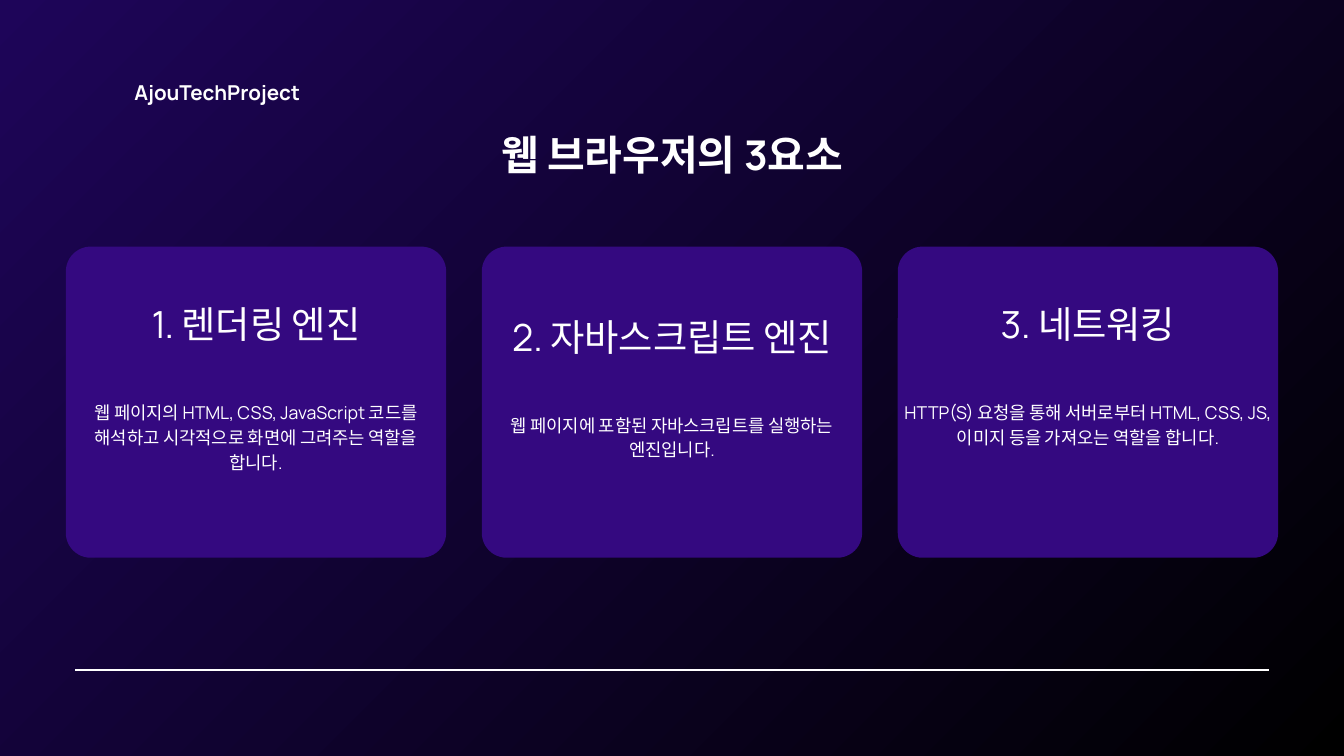
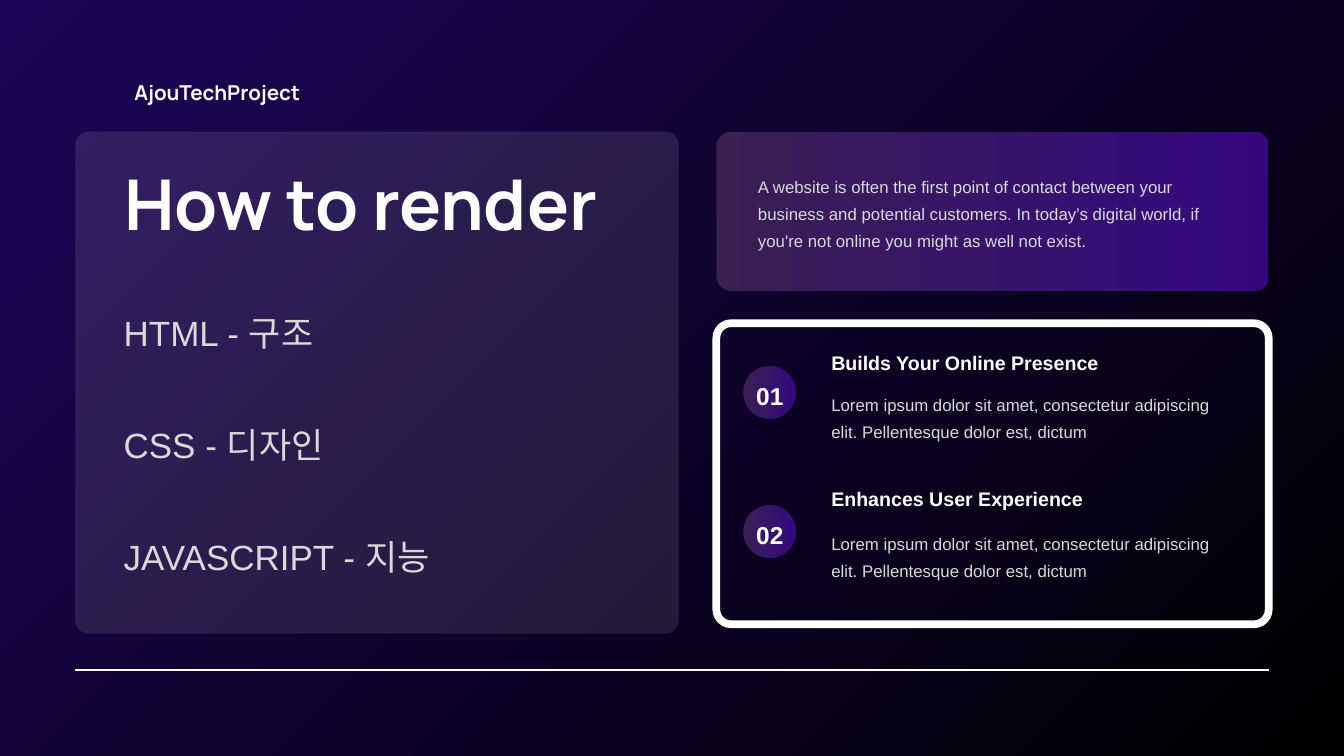
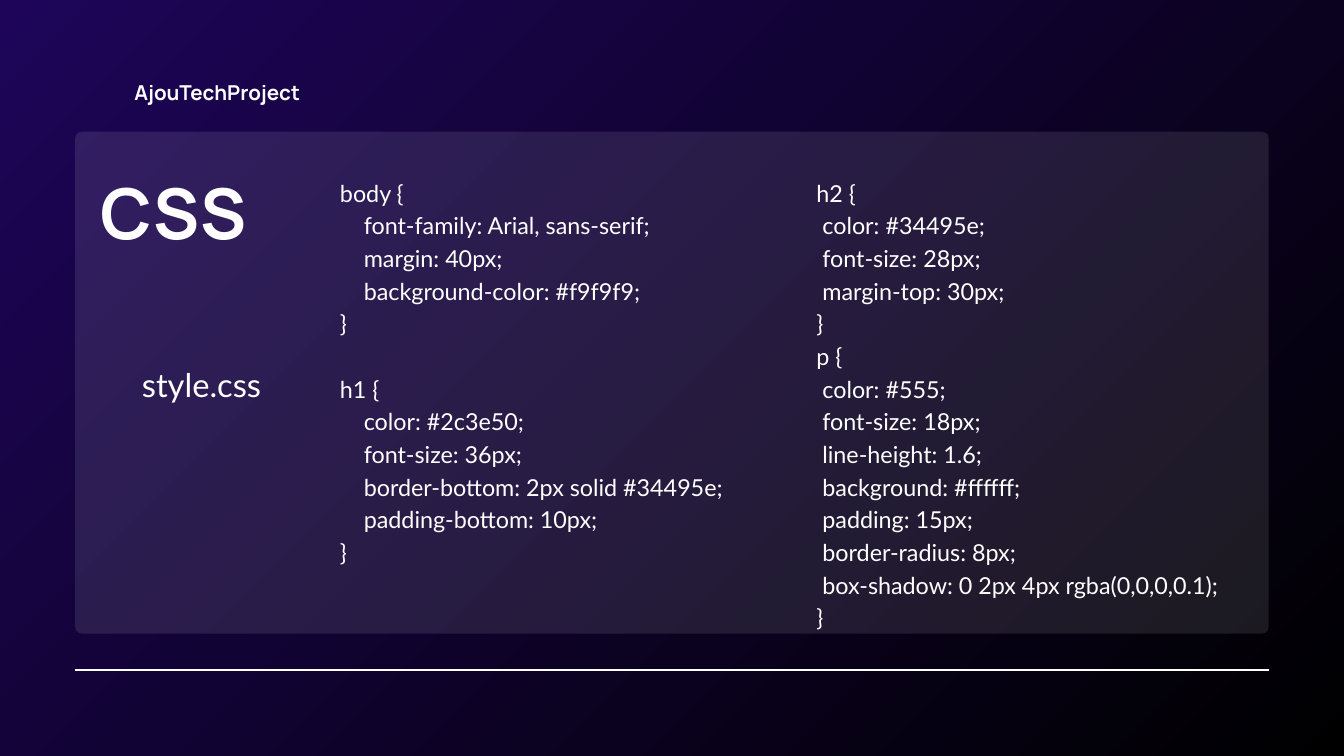
from dataclasses import dataclass

import pptx
import pptx.dml.color
import pptx.enum.dml
import pptx.enum.shapes
import pptx.enum.text
import pptx.oxml
import pptx.oxml.ns
import pptx.util

Inches = pptx.util.Inches
Pt = pptx.util.Pt
Shapes = pptx.enum.shapes.MSO_SHAPE
Align = pptx.enum.text.PP_ALIGN
Anchor = pptx.enum.text.MSO_ANCHOR
qn = pptx.oxml.ns.qn


@dataclass(frozen=True)
class TextStyle:
    font: str
    size: float
    spacing: float  # exact line height in points
    color: str = "FFFFFF"
    bold: bool = False


@dataclass(frozen=True)
class Theme:
    white: str = "FFFFFF"
    card: str = "340980"
    backdrop: tuple = ("1E0559", "000000")
    accent: tuple = ("391F53", "340980")
    brand: TextStyle = TextStyle("Manrope", 22, 23.3, bold=True)
    heading: TextStyle = TextStyle("Manrope", 43.9, 46.5, bold=True)
    display: TextStyle = TextStyle("Manrope", 75, 79.5, bold=True)
    card_title: TextStyle = TextStyle("Manrope", 40, 56)
    card_body: TextStyle = TextStyle("Manrope", 19, 26.6)
    body: TextStyle = TextStyle("Arial", 18, 28.8, "D9D9D9")
    topic: TextStyle = TextStyle("Arial", 21, 33.6, bold=True)
    number: TextStyle = TextStyle("Arial", 26.2, 41.9, bold=True)
    language: TextStyle = TextStyle("Arial", 37.5, 60, "D9D9D9")
    code: TextStyle = TextStyle("Lato", 25, 35)
    file_name: TextStyle = TextStyle("Lato", 35, 49)


class Deck:
    """Holds the theme and the slide being built."""

    def __init__(self, theme):
        self.theme = theme
        self.presentation = pptx.Presentation()
        self.presentation.slide_width = Inches(20)
        self.presentation.slide_height = Inches(11.25)
        self.slide = None

    def new_slide(self):
        layout = self.presentation.slide_layouts[6]
        self.slide = self.presentation.slides.add_slide(layout)
        self.gradient(self.slide.background.fill, self.theme.backdrop, 315)
        self.text(2, 1.24, 3.67, 0.36, [("AjouTechProject", self.theme.brand, 0)])
        self.rule(1.12, 18.88, 9.97)

    @staticmethod
    def rgb(color):
        return pptx.dml.color.RGBColor.from_string(color)

    def gradient(self, fill, colors, angle=0):
        fill.gradient()
        fill.gradient_angle = angle
        for stop, color in zip(fill.gradient_stops, colors):
            stop.color.rgb = self.rgb(color)

    def rule(self, left, right, top):
        connector = self.slide.shapes.add_connector(
            pptx.enum.shapes.MSO_CONNECTOR.STRAIGHT,
            Inches(left), Inches(top), Inches(right), Inches(top))
        connector.line.color.rgb = self.rgb(self.theme.white)
        connector.line.width = Pt(3)
        properties = connector.element.spPr
        properties.append(properties.makeelement(qn("a:effectLst"), {}))

    def shape(self, kind, left, top, width, height, fill=None, opacity=100, outline=0):
        """fill is one colour, a pair of gradient colours, or None."""
        shape = self.slide.shapes.add_shape(
            kind, Inches(left), Inches(top), Inches(width), Inches(height))
        shape.shadow.inherit = False
        if fill is None:
            shape.fill.background()
        elif isinstance(fill, tuple):
            self.gradient(shape.fill, fill)
        else:
            shape.fill.solid()
            shape.fill.fore_color.rgb = self.rgb(fill)
        if opacity < 100:
            color = shape.element.spPr.find(".//" + qn("a:srgbClr"))
            pptx.oxml.xmlchemy.OxmlElement  # keep the alpha element typed
            color.append(color.makeelement(qn("a:alpha"), {"val": str(opacity * 1000)}))
        if outline:
            shape.line.color.rgb = self.rgb(self.theme.white)
            shape.line.width = Pt(outline)
        else:
            shape.line.fill.background()
        return shape

    def panel(self, left, top, width, height, radius, **look):
        shape = self.shape(Shapes.ROUNDED_RECTANGLE, left, top, width, height, **look)
        shape.adjustments[0] = radius / min(width, height)

    def text(self, left, top, width, height, lines, align=Align.LEFT,
             anchor=Anchor.TOP, inset=0, extra_bottom=0):
        """lines holds (words, style, points of space before)."""
        box = self.slide.shapes.add_textbox(
            Inches(left), Inches(top), Inches(width), Inches(height))
        frame = box.text_frame
        frame.word_wrap = True
        frame.vertical_anchor = anchor
        frame.margin_left = frame.margin_right = frame.margin_top = Inches(inset)
        frame.margin_bottom = Inches(inset) + Pt(extra_bottom)
        for index, (words, style, space_before) in enumerate(lines):
            paragraph = frame.paragraphs[0] if index == 0 else frame.add_paragraph()
            paragraph.alignment = align
            paragraph.line_spacing = Pt(style.spacing)
            if space_before:
                paragraph.space_before = Pt(space_before)
            run = paragraph.add_run()
            run.text = words
            font = run.font
            font.name, font.size, font.bold = style.font, Pt(style.size), style.bold
            font.color.rgb = self.rgb(style.color)
            latin = run.font._element.find(qn("a:latin"))
            latin.addnext(latin.makeelement(qn("a:ea"), {"typeface": style.font}))

    def card(self, left, title, body, extra_bottom):
        theme = self.theme
        self.panel(left, 3.67, 5.66, 4.63, 0.37, fill=theme.card)
        self.text(left, 3.11, 5.66, 5.19,
                  [(title, theme.card_title, 0), (body, theme.card_body, 56)],
                  Align.CENTER, Anchor.MIDDLE, 0.06, extra_bottom)

    def numbered_point(self, number, circle_top, title_top, title, body):
        theme = self.theme
        self.shape(Shapes.OVAL, 11.06, circle_top, 0.78, 0.78, fill=theme.accent)
        self.text(11.12, circle_top + 0.08, 0.67, 0.52,
                  [(number, theme.number, 0)], Align.CENTER)
        self.text(12.37, title_top, 4.11, 0.44, [(title, theme.topic, 0)])
        self.text(12.37, circle_top + 0.32, 5.88, 0.76, [(body, theme.body, 0)])

    def code(self, left, width, height, source):
        """An empty source line becomes space before the next line."""
        style = self.theme.code
        lines, gap = [], 0
        for line in source.strip().split("\n"):
            if line:
                lines.append((line, style, gap))
            gap = 0 if line else style.spacing
        self.text(left, 2.59, width, height, lines)


LEFT_CODE = """
body {
    font-family: Arial, sans-serif;
    margin: 40px;
    background-color: #f9f9f9;
}

h1 {
    color: #2c3e50;
    font-size: 36px;
    border-bottom: 2px solid #34495e;
    padding-bottom: 10px;
}
"""

RIGHT_CODE = """
h2 {
 color: #34495e;
 font-size: 28px;
 margin-top: 30px;
}
p {
 color: #555;
 font-size: 18px;
 line-height: 1.6;
 background: #ffffff;
 padding: 15px;
 border-radius: 8px;
 box-shadow: 0 2px 4px rgba(0,0,0,0.1);
}
"""


def build_browser_parts(deck):
    deck.new_slide()
    deck.text(7.01, 2.01, 5.99, 0.71,
              [("웹 브라우저의 3요소", deck.theme.heading, 0)], Align.CENTER)
    cards = [
        ("1. 렌더링 엔진",
         "웹 페이지의 HTML, CSS, JavaScript 코드를 해석하고 시각적으로 화면에 그려주는 역할을 합니다.", 0),
        ("2. 자바스크립트 엔진", "웹 페이지에 포함된 자바스크립트를 실행하는 엔진입니다.", 0),
        ("3. 네트워킹",
         "HTTP(S) 요청을 통해 서버로부터 HTML, CSS, JS, 이미지 등을 가져오는 역할을 합니다.",
         deck.theme.card_body.spacing),
    ]
    for index, card in enumerate(cards):
        deck.card(0.98 + index * 6.19, *card)


def build_rendering(deck):
    theme = deck.theme
    deck.new_slide()
    # Languages on the left
    deck.panel(1.12, 1.96, 8.98, 7.47, 0.2, fill=theme.white, opacity=10)
    deck.text(1.85, 2.54, 7.77, 1.22, [("How to render", theme.display, 0)])
    languages = ["HTML - 구조", "CSS - 디자인", "JAVASCRIPT - 지능"]
    deck.text(1.84, 4.43, 7.54, 4.06,
              [(words, theme.language, 60 if index else 0)
               for index, words in enumerate(languages)])
    # Introduction
    deck.panel(10.66, 1.96, 8.22, 2.37, 0.22, fill=theme.accent)
    deck.text(11.28, 2.53, 6.97, 1.16, [(
        "A website is often the first point of contact between your business and "
        "potential customers. In today’s digital world, if you're not online you "
        "might as well not exist.", theme.body, 0)])
    # Numbered points
    deck.panel(10.66, 4.81, 8.22, 4.48, 0.22, outline=8.25)
    filler = ("Lorem ipsum dolor sit amet, consectetur adipiscing elit. "
              "Pellentesque dolor est, dictum")
    deck.numbered_point("01", 5.45, 5.11, "Builds Your Online Presence", filler)
    deck.numbered_point("02", 7.52, 7.13, "Enhances User Experience", filler)


def build_css(deck):
    theme = deck.theme
    deck.new_slide()
    deck.panel(1.12, 1.96, 17.76, 7.47, 0.1, fill=theme.white, opacity=10)
    deck.text(1.49, 2.67, 2.65, 1.22, [("CSS", theme.display, 0)])
    deck.text(2, 5.33, 2, 0.65, [("style.css", theme.file_name, 0)], Align.CENTER)
    deck.code(5.06, 6.73, 5.73, LEFT_CODE)
    deck.code(12.15, 6.43, 6.69, RIGHT_CODE)


def main():
    deck = Deck(Theme())
    build_browser_parts(deck)
    build_rendering(deck)
    build_css(deck)
    deck.presentation.save("out.pptx")


if __name__ == "__main__":
    main()
